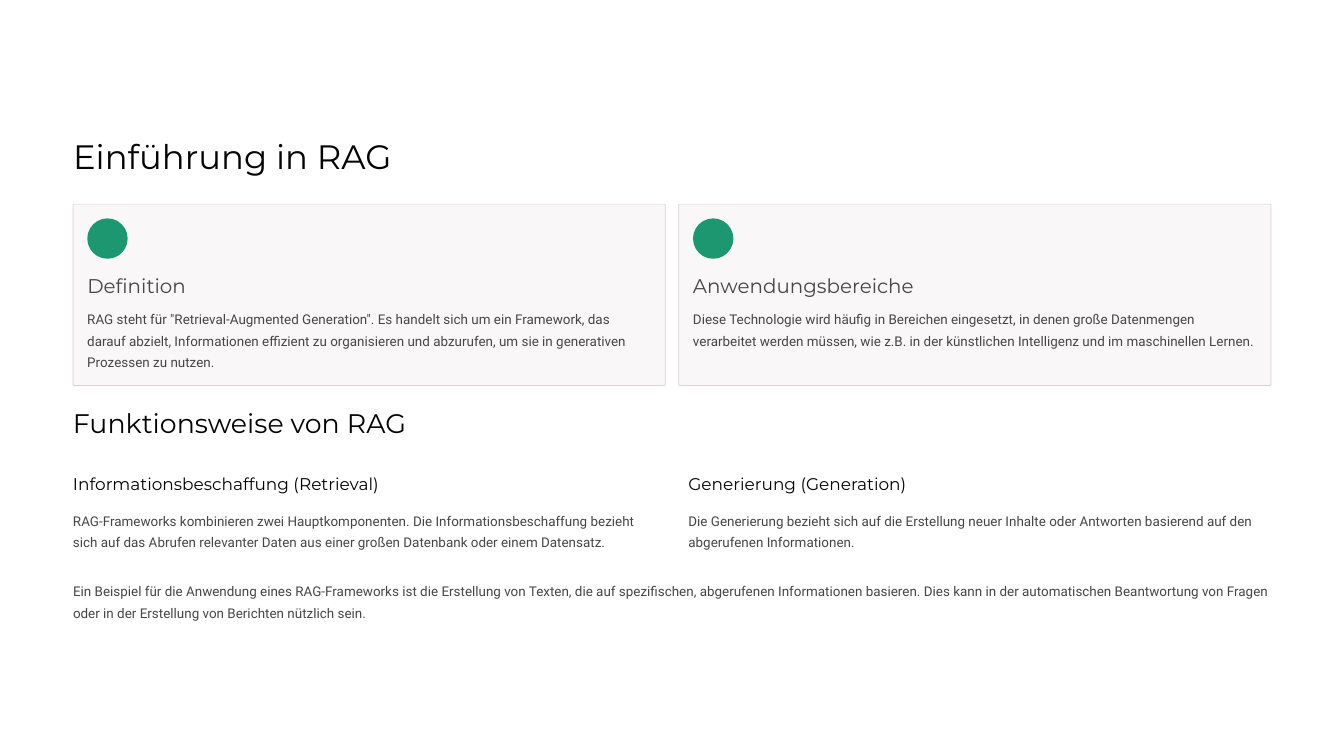
from dataclasses import dataclass, field

from pptx import Presentation
from pptx.dml.color import RGBColor
from pptx.enum.shapes import MSO_SHAPE
from pptx.enum.text import MSO_ANCHOR, MSO_AUTO_SIZE, PP_ALIGN
from pptx.util import Pt


@dataclass
class Theme:
    white: str = "FFFFFF"
    card: str = "F9F7F7"
    border: str = "D8D4D4"
    accent: str = "1C9770"
    dark: str = "030303"
    grey: str = "464646"
    text: dict = field(default_factory=lambda: {
        "title": ("Montserrat", 29, 36, "dark"),
        "section": ("Montserrat", 23, 29, "dark"),
        "card": ("Montserrat", 17, 21.5, "grey"),
        "column": ("Montserrat", 14.5, 18, "dark"),
        "body": ("Roboto", 11.5, 18.5, "grey"),
    })

    def rgb(self, name):
        return RGBColor.from_string(getattr(self, name))


class Deck:
    def __init__(self, prs, theme):
        self.theme = theme
        self.s = prs.slides.add_slide(prs.slide_layouts[5])
        fill = self.s.background.fill
        fill.solid()
        fill.fore_color.rgb = theme.rgb("white")

    def set_text(self, sp, text, style, wrap):
        name, size, leading, color = self.theme.text[style]
        tf = sp.text_frame
        frame = {"margin_left": 0, "margin_top": 0, "margin_right": 0,
                 "margin_bottom": 0, "word_wrap": wrap,
                 "auto_size": MSO_AUTO_SIZE.NONE,
                 "vertical_anchor": MSO_ANCHOR.TOP}
        for key, value in frame.items():
            setattr(tf, key, value)
        p = tf.paragraphs[0]
        for key, value in {"alignment": PP_ALIGN.LEFT, "space_before": Pt(0),
                           "line_spacing": Pt(leading)}.items():
            setattr(p, key, value)
        r = p.add_run()
        r.text = text
        for key, value in {"name": name, "size": Pt(size)}.items():
            setattr(r.font, key, value)
        r.font.color.rgb = self.theme.rgb(color)

    def title(self, text, x, y, w, h):
        sp = self.s.shapes.title
        box = {"left": x, "top": y, "width": w, "height": h}
        for key, value in box.items():
            setattr(sp, key, Pt(value))
        self.set_text(sp, text, "title", False)

    def text(self, text, style, x, y, w, h):
        sp = self.s.shapes.add_textbox(Pt(x), Pt(y), Pt(w), Pt(h))
        self.set_text(sp, text, style, style == "body")

    def shape(self, kind, x, y, w, h, fill, line=None):
        sp = self.s.shapes.add_shape(kind, Pt(x), Pt(y), Pt(w), Pt(h))
        sp.shadow.inherit = False
        sp.fill.solid()
        sp.fill.fore_color.rgb = self.theme.rgb(fill)
        if line:
            sp.line.color.rgb = self.theme.rgb(line)
            sp.line.width = Pt(0.6)
        else:
            sp.line.fill.background()
        return sp

    def card(self, x, y, w, h, heading, heading_w, body, body_h):
        pad = 12.2
        sp = self.shape(MSO_SHAPE.ROUNDED_RECTANGLE, x, y, w, h,
                        "card", "border")
        sp.adjustments[0] = 0.005
        left = x + pad
        self.shape(MSO_SHAPE.OVAL, left, y + pad, 34.6, 34.6, "accent")
        self.text(heading, "card", left, y + 58.3, heading_w, 21.6)
        self.text(body, "body", left, y + 87.1, w - 2 * pad, body_h)

    def column(self, x, y, w, heading, heading_w, body):
        self.text(heading, "column", x, y, heading_w, 18)
        self.text(body, "body", x, y + 29.5, w, 37.4)


def main():
    prs = Presentation()
    prs.slide_width, prs.slide_height = Pt(1152), Pt(648)
    deck = Deck(prs, Theme())
    left, width = 62.6, 1026.8

    deck.title("Einführung in RAG", left, 115.2, 290.2, 36)

    cards = [
        ("Definition", 174.2,
         'RAG steht für "Retrieval-Augmented Generation". Es handelt sich um '
         "ein Framework, das darauf abzielt, Informationen effizient zu "
         "organisieren und abzurufen, um sie in generativen Prozessen zu "
         "nutzen.", 55.4),
        ("Anwendungsbereiche", 198.7,
         "Diese Technologie wird häufig in Bereichen eingesetzt, in denen "
         "große Datenmengen verarbeitet werden müssen, wie z.B. in der "
         "künstlichen Intelligenz und im maschinellen Lernen.", 37.4),
    ]
    card_gap = 11.6
    card_w = (width - card_gap) / 2
    for i, content in enumerate(cards):
        deck.card(left + i * (card_w + card_gap), 175, card_w, 155.5, *content)

    deck.text("Funktionsweise von RAG", "section", left, 347, 297.4, 28.8)

    columns = [
        ("Informationsbeschaffung (Retrieval)", 270.7,
         "RAG-Frameworks kombinieren zwei Hauptkomponenten. Die "
         "Informationsbeschaffung bezieht sich auf das Abrufen relevanter "
         "Daten aus einer großen Datenbank oder einem Datensatz."),
        ("Generierung (Generation)", 191.5,
         "Die Generierung bezieht sich auf die Erstellung neuer Inhalte oder "
         "Antworten basierend auf den abgerufenen Informationen."),
    ]
    column_gap = 28.2
    column_w = (width - column_gap) / 2
    for i, content in enumerate(columns):
        deck.column(left + i * (column_w + column_gap), 405.4, column_w,
                    *content)

    deck.text("Ein Beispiel für die Anwendung eines RAG-Frameworks ist die "
              "Erstellung von Texten, die auf spezifischen, abgerufenen "
              "Informationen basieren. Dies kann in der automatischen "
              "Beantwortung von Fragen oder in der Erstellung von Berichten "
              "nützlich sein.", "body", left, 495.4, width, 37.4)

    prs.save("out.pptx")


if __name__ == "__main__":
    main()
